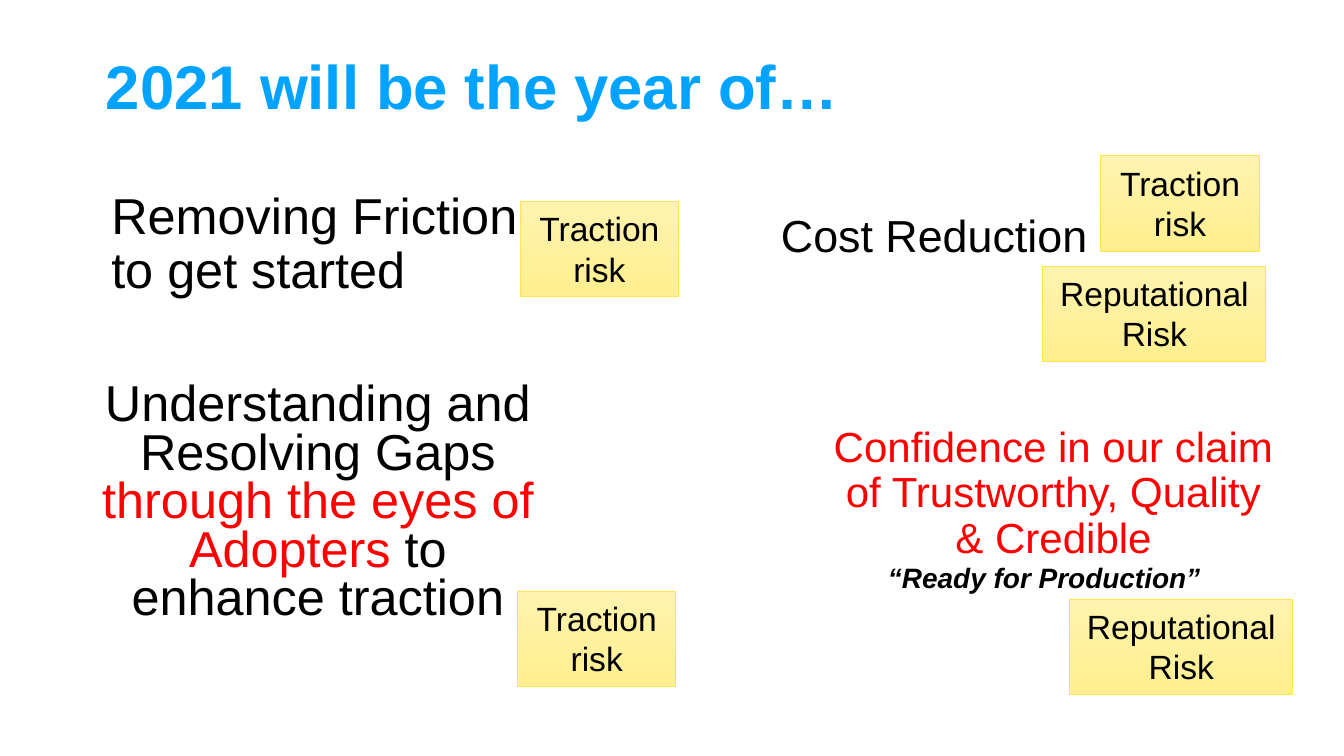
from pptx import Presentation
from pptx.dml.color import RGBColor
from pptx.enum.shapes import MSO_SHAPE
from pptx.enum.text import MSO_ANCHOR, MSO_AUTO_SIZE, PP_ALIGN
from pptx.util import Inches, Pt

RECTANGLE = MSO_SHAPE.RECTANGLE
TOP, MIDDLE = MSO_ANCHOR.TOP, MSO_ANCHOR.MIDDLE
GROW = MSO_AUTO_SIZE.SHAPE_TO_FIT_TEXT
LEFT, CENTER = PP_ALIGN.LEFT, PP_ALIGN.CENTER

BLUE = RGBColor(0x00, 0xA3, 0xFF)
BLACK = RGBColor(0x00, 0x00, 0x00)
RED = RGBColor(0xFF, 0x00, 0x00)
NOTE_LINE = RGBColor(0xFD, 0xE7, 0x4C)
NOTE_SHADES = (RGBColor(0xFF, 0xF3, 0xAF), RGBColor(0xFF, 0xEF, 0x8F))

WIDE, NARROW = (0.1, 0.05), (0.07, 0.04)
TRACTION = ("Traction risk", 1.18)
REPUTATION = ("Reputational Risk", 1.66)
NOTE_HEIGHT = 0.71

TEXTS = [
    dict(at=(0.69, 0.34, 8.62, 0.65), spans=[("2021 will be the year of…", BLUE)],
         size=33, spacing=0.9, align=LEFT, anchor=MIDDLE, bold=True),
    dict(at=(0.73, 1.37, 3.46, 1), spans=[("Removing Friction to get started", BLACK)],
         size=27, spacing=0.9, align=LEFT),
    dict(at=(0.59, 2.81, 3.55, 2.08),
         spans=[("Understanding and Resolving Gaps ", BLACK),
                ("through the eyes of Adopters ", RED),
                ("to enhance traction", BLACK)],
         size=27, spacing=0.8, insets=NARROW),
    dict(at=(6.1, 3.13, 3.48, 2.08),
         spans=[("Confidence in our claim of Trustworthy, Quality & Credible", RED)],
         size=22.5, spacing=0.9, insets=NARROW),
    dict(at=(4.73, 1.55, 4.44, 1.9), spans=[("Cost Reduction", BLACK)],
         size=24, spacing=0.9, insets=NARROW),
    dict(at=(6.23, 4.12, 3.08, 0.35), spans=[("“Ready for Production”", BLACK)],
         size=15, bold=True, italic=True, grow=True),
]

NOTES = [
    (8.19, 1.16, TRACTION),
    (7.96, 4.46, REPUTATION),
    (3.87, 1.5, TRACTION),
    (3.85, 4.4, TRACTION),
    (7.76, 1.98, REPUTATION),
]


def write(box, spans, size, spacing=None, align=CENTER, anchor=TOP,
          insets=WIDE, bold=False, italic=False, grow=False):
    frame = box.text_frame
    frame.word_wrap = True
    frame.vertical_anchor = anchor
    frame.margin_left = frame.margin_right = Inches(insets[0])
    frame.margin_top = frame.margin_bottom = Inches(insets[1])
    if grow:
        frame.auto_size = GROW
    para = frame.paragraphs[0]
    para.alignment = align
    if spacing:
        para.line_spacing = spacing
    font = para.font
    font.name, font.size, font.bold, font.italic = "Arial", Pt(size), bold, italic
    for words, color in spans:
        span = para.add_run()
        span.text = words
        span.font.color.rgb = color


def add_note(page, left, top, label, width):
    note = page.shapes.add_shape(
        RECTANGLE, *map(Inches, (left, top, width, NOTE_HEIGHT)))
    note.shadow.inherit = False
    note.fill.gradient()
    note.fill.gradient_angle = 270
    for stop, shade in zip(note.fill.gradient_stops, NOTE_SHADES):
        stop.color.rgb = shade
    note.line.color.rgb = NOTE_LINE
    note.line.width = Pt(0.5)
    write(note, [(label, BLACK)], 18, grow=True)


deck = Presentation()
deck.slide_width = Inches(10)
deck.slide_height = deck.slide_width * 9 // 16
page = deck.slides.add_slide(deck.slide_layouts[6])

for text in TEXTS:
    style = dict(text)
    box = page.shapes.add_textbox(*map(Inches, style.pop("at")))
    write(box, **style)

for left, top, (label, width) in NOTES:
    add_note(page, left, top, label, width)

deck.save("out.pptx")
